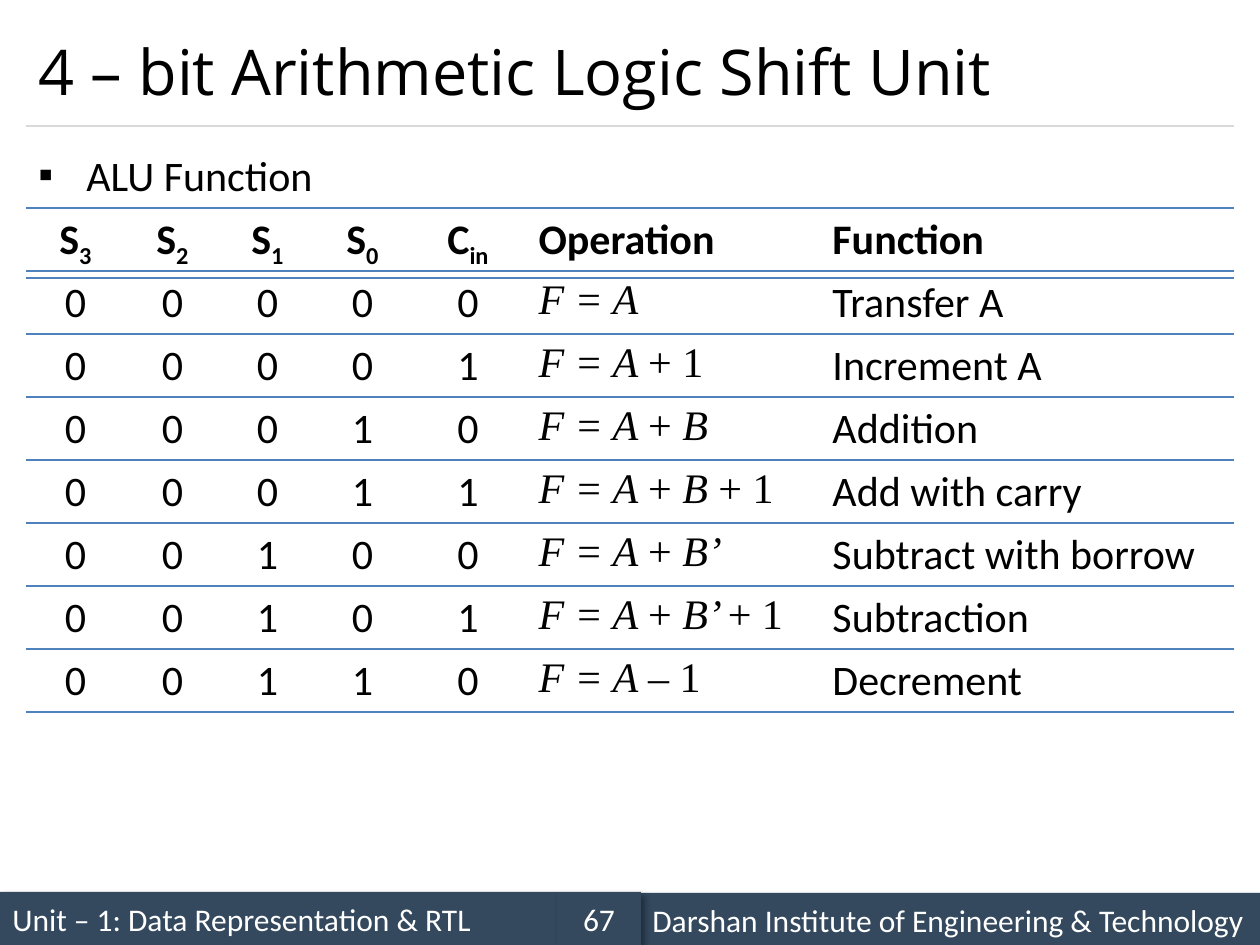
from dataclasses import dataclass

from lxml.etree import SubElement as Sub
from pptx import Presentation
from pptx.dml.color import RGBColor as Rgb
from pptx.enum.shapes import MSO_CONNECTOR as Conn, MSO_SHAPE as Shape
from pptx.enum.text import MSO_ANCHOR as Anchor, PP_ALIGN as Align
from pptx.oxml import parse_xml
from pptx.oxml.ns import nsdecls, qn
from pptx.util import Emu, Pt

SCALE = 914400 / 126  # EMU in one px


@dataclass(frozen=True)
class Theme:
    ink: str = "000000"
    paper: str = "FFFFFF"
    bar: str = "34495E"
    rule: str = "D9D9D9"
    edge: str = "4F81BD"
    head: str = "Open Sans"
    body: str = "Calibri"
    math: str = "Times New Roman"
    big: int = 36
    mid: int = 24
    small: int = 18


@dataclass(frozen=True)
class Box:
    x: int
    y: int
    w: int
    h: int


@dataclass(frozen=True)
class Bar:
    text: str
    box: Box
    align: Align = Align.LEFT


@dataclass(frozen=True)
class Row:
    bits: str
    formula: str  # "|" switches between italic and upright
    name: str


THEME = Theme()
LEFT, WIDTH = 26, 1208
COLS = (99, 95, 95, 95, 116, 294, 414)
TOP, STEP, LOW = 208, 63, 52  # first row, pitch, least row height
HEADS = ("S|3", "S|2", "S|1", "S|0", "C|in", "Operation", "Function")
ROWS = (
    Row("00000", "F = A", "Transfer A"),
    Row("00001", "F = A |+ 1", "Increment A"),
    Row("00010", "F = A |+| B", "Addition"),
    Row("00011", "F = A |+| B |+ 1", "Add with carry"),
    Row("00100", "F = A |+| B’", "Subtract with borrow"),
    Row("00101", "F = A |+| B’ |+ 1", "Subtraction"),
    Row("00110", "F = A |– 1", "Decrement"),
)
BARS = (
    Bar("Unit – 1: Data Representation & RTL", Box(0, 892, 557, 53)),
    Bar("Darshan Institute of Engineering & Technology", Box(640, 893, 620, 53)),
    Bar("67", Box(557, 892, 84, 53), Align.CENTER),
)


def px(n: int) -> Emu:
    return Emu(round(n * SCALE))


def place(box: Box) -> tuple:
    return px(box.x), px(box.y), px(box.w), px(box.h)


def style(run, size: int, face: str, color: str) -> None:
    font = run.font
    font.size, font.name = Pt(size), face
    font.color.rgb = Rgb.from_string(color)


def label(slide, text: str, box: Box, size: int, face: str, anchor: Anchor):
    frame = slide.shapes.add_textbox(*place(box)).text_frame
    frame.word_wrap = True
    frame.vertical_anchor = anchor
    frame.text = text
    para = frame.paragraphs[0]
    style(para.runs[0], size, face, THEME.ink)
    return para


def bullet(para, mark: str, indent: int) -> None:
    props = para._p.get_or_add_pPr()
    props.set("marL", str(px(indent)))
    props.set("indent", str(-px(indent)))
    Sub(props, qn("a:buFont"), typeface="Wingdings").set("typeface", "Arial")
    Sub(props, qn("a:buChar"), char=mark)
    para.line_spacing = 1.14


def divider(slide, y: int) -> None:
    line = slide.shapes.add_connector(
        Conn.STRAIGHT, px(LEFT), px(y), px(LEFT + WIDTH), px(y))
    line.line.color.rgb = Rgb.from_string(THEME.rule)
    line.line.width = Pt(0.75)
    Sub(line._element.spPr, qn("a:effectLst"))


def footer(slide, bar: Bar) -> None:
    shape = slide.shapes.add_shape(Shape.RECTANGLE, *place(bar.box))
    shape.fill.solid()
    shape.fill.fore_color.rgb = Rgb.from_string(THEME.bar)
    shape.line.fill.background()
    shape.shadow.inherit = False
    effects = shape._element.spPr.find(qn("a:effectLst"))
    effects.append(parse_xml(
        f'<a:outerShdw {nsdecls("a")} blurRad="{Pt(4)}" dist="{Pt(3)}" dir="2700000">'
        f'<a:srgbClr val="{THEME.ink}"><a:alpha val="40000"/></a:srgbClr></a:outerShdw>'))
    frame = shape.text_frame
    frame.word_wrap = True
    frame.vertical_anchor = Anchor.MIDDLE
    frame.text = bar.text
    para = frame.paragraphs[0]
    para.alignment = bar.align
    style(para.runs[0], THEME.small, THEME.body, THEME.paper)


def border(cell) -> None:
    cell.fill.background()
    props = cell._tc.get_or_add_tcPr()
    for i, side in enumerate(("lnL", "lnR", "lnT", "lnB")):
        paint = "<a:noFill/>"
        if side in ("lnT", "lnB"):
            paint = f'<a:solidFill><a:srgbClr val="{THEME.edge}"/></a:solidFill>'
        props.insert(i, parse_xml(
            f'<a:{side} {nsdecls("a")} w="{Pt(1)}">{paint}</a:{side}>'))


def write(cell, text: str, col: int, head: bool) -> None:
    """Fill a cell; odd parts are subscripts in heads, upright in formulas."""
    formula = col == 5 and not head
    para = cell.text_frame.paragraphs[0]
    para.alignment = Align.CENTER if col < 5 else Align.LEFT
    for i, part in enumerate(text.split("|")):
        run = para.add_run()
        run.text = part
        style(run, THEME.mid, THEME.math if formula else THEME.body, THEME.ink)
        run.font.bold = head
        run.font.italic = formula and i % 2 == 0
        if head and i % 2:
            run.font._element.set("baseline", "-25000")


def strip(slide, y: int, texts: tuple, head: bool = False) -> None:
    """Draw one table of a single row."""
    frame = slide.shapes.add_table(1, len(COLS), *place(Box(LEFT, y, WIDTH, LOW)))
    table = frame.table
    table.first_row = table.horz_banding = False
    for col, (width, text) in enumerate(zip(COLS, texts)):
        table.columns[col].width = px(width)
        cell = table.cell(0, col)
        border(cell)
        write(cell, text, col, head)
    frame.height = px(STEP)


def main() -> None:
    deck = Presentation()
    deck.slide_width, deck.slide_height = px(1260), px(945)
    slide = deck.slides.add_slide(deck.slide_layouts[6])

    # Footer and title rule
    for bar in BARS:
        footer(slide, bar)
    divider(slide, 126)

    # Title and bullet
    label(slide, "4 – bit Arithmetic Logic Shift Unit", Box(LEFT, 15, WIDTH, 111),
          THEME.big, THEME.head, Anchor.MIDDLE)
    para = label(slide, "ALU Function", Box(LEFT, 136, WIDTH, 84),
                 THEME.mid, THEME.body, Anchor.TOP)
    bullet(para, "▪", 48)

    # Function table, one strip per row
    strip(slide, TOP, HEADS, head=True)
    for i, row in enumerate(ROWS, 1):
        strip(slide, TOP + i * STEP, (*row.bits, row.formula, row.name))

    deck.save("out.pptx")


if __name__ == "__main__":
    main()
